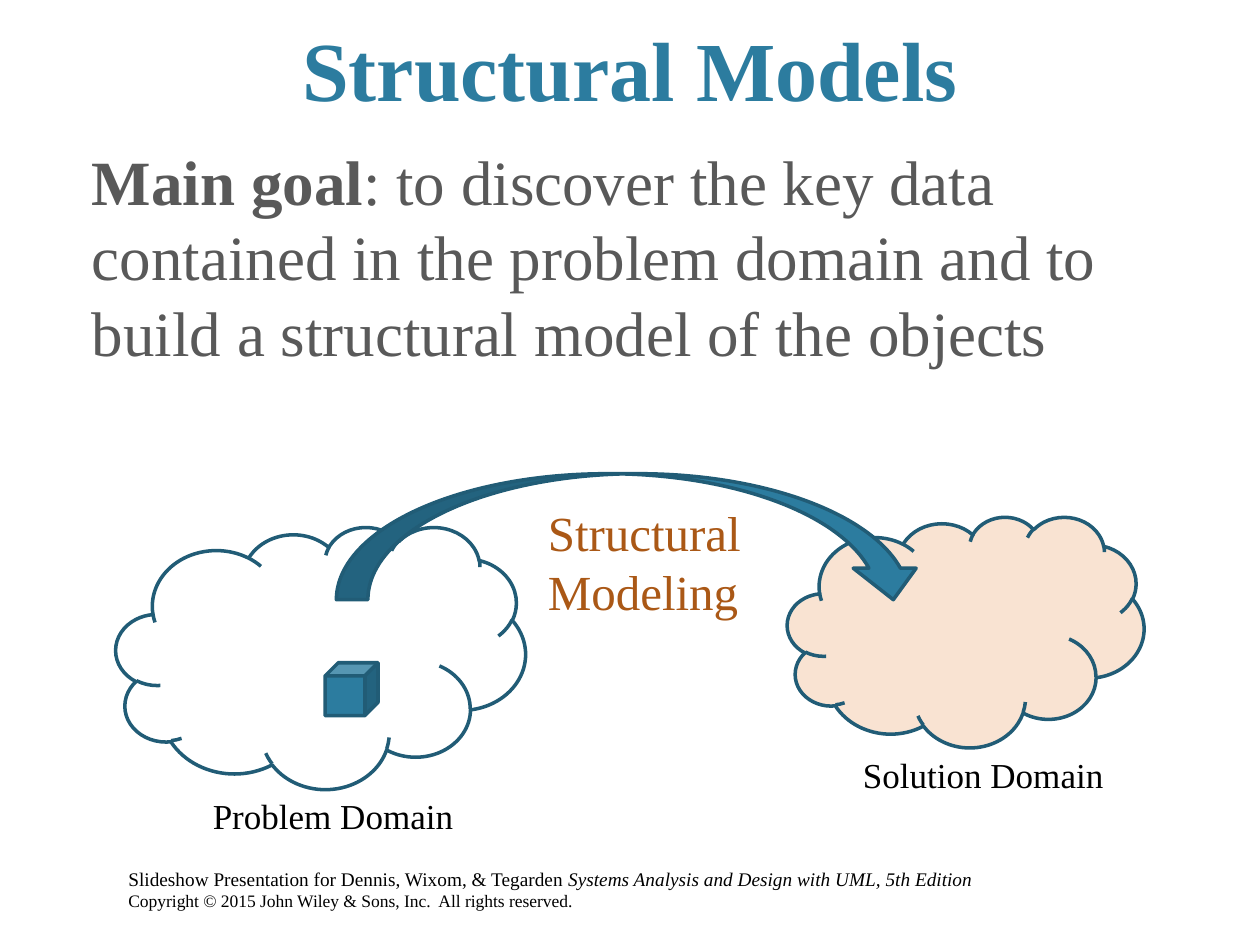
import pptx
import pptx.util
import pptx.dml.color
import pptx.enum.shapes
import pptx.enum.text

Inches = pptx.util.Inches
Pt = pptx.util.Pt
MSO_SHAPE = pptx.enum.shapes.MSO_SHAPE
PP_ALIGN = pptx.enum.text.PP_ALIGN
MSO_ANCHOR = pptx.enum.text.MSO_ANCHOR

FONT = "Times New Roman"
WIDTH, HEIGHT = 10, 7.5
COLORS = {
    "title": "2C7C9F",
    "body": "595959",
    "label": "000000",
    "accent": "AA5816",
    "outline": "215C76",
    "problem": "FFFFFF",
    "solution": "F9E3D2",
    "object": "2C7C9F",
}

FOOTER = [
    [("Slideshow Presentation for Dennis, Wixom, & Tegarden ", 11, ""),
     ("Systems Analysis and Design with UML, 5th Edition", 11, "italic")],
    [("Copyright © 2015 John Wiley & Sons, Inc.  All rights reserved.", 10, "")],
]
TITLE = [[("Structural Models", 48, "bold")]]
GOAL = [[
    ("Main goal", 36, "bold"),
    (": to discover the key data contained in the problem domain "
     "and to build a structural model of the objects", 36, ""),
]]
PROCESS = [[("Structural", 28, "")], [("Modeling", 28, "")]]

CLOUDS = [
    ("Problem Domain", "problem", (0.92, 4.18, 3.25, 2.08), 1.59),
    ("Solution Domain", "solution", (6.25, 4.1, 2.83, 1.83), 6.75),
]
LABEL_SIZE = (2.12, 0.44)


def add_text(slide, box, paragraphs, color, wrap=True):
    shape = slide.shapes.add_textbox(*map(Inches, box))
    text_frame = shape.text_frame
    text_frame.word_wrap = wrap
    for index, pieces in enumerate(paragraphs):
        paragraph = text_frame.paragraphs[0] if index == 0 else text_frame.add_paragraph()
        for text, size, style in pieces:
            run = paragraph.add_run()
            run.text = text
            run.font.name = FONT
            run.font.size = Pt(size)
            run.font.bold = style == "bold"
            run.font.italic = style == "italic"
            run.font.color.rgb = pptx.dml.color.RGBColor.from_string(COLORS[color])
    return text_frame


def add_figure(slide, kind, box, fill):
    shape = slide.shapes.add_shape(kind, *map(Inches, box))
    shape.shadow.inherit = False
    shape.fill.solid()
    shape.fill.fore_color.rgb = pptx.dml.color.RGBColor.from_string(COLORS[fill])
    shape.line.color.rgb = pptx.dml.color.RGBColor.from_string(COLORS["outline"])
    shape.line.width = Pt(2)


def main():
    presentation = pptx.Presentation()
    presentation.slide_width = Inches(WIDTH)
    presentation.slide_height = Inches(HEIGHT)
    slide = presentation.slides.add_slide(presentation.slide_layouts[6])

    add_text(slide, (0.92, 6.83, 7.61, 0.45), FOOTER, "label")

    title = add_text(slide, (0.6, 0.12, 8.8, 0.87), TITLE, "title")
    title.vertical_anchor = MSO_ANCHOR.BOTTOM
    title.paragraphs[0].alignment = PP_ALIGN.CENTER

    goal = add_text(slide, (0.25, 1.08, 9.15, 5.42), GOAL, "body")
    goal.margin_left = Inches(0.1 + 0.38)

    for name, fill, box, label_left in CLOUDS:
        add_figure(slide, MSO_SHAPE.CLOUD, box, fill)
        label_top = box[1] + box[3]
        add_text(slide, (label_left, label_top, *LABEL_SIZE),
                 [[(name, 20, "")]], "label", wrap=False)

    add_figure(slide, MSO_SHAPE.CURVED_DOWN_ARROW, (2.67, 3.76, 4.67, 1), "object")
    add_figure(slide, MSO_SHAPE.CUBE, (2.58, 5.26, 0.42, 0.42), "object")
    add_text(slide, (4.25, 3.94, 1.75, 1.04), PROCESS, "accent", wrap=False)

    presentation.save("out.pptx")


if __name__ == "__main__":
    main()
